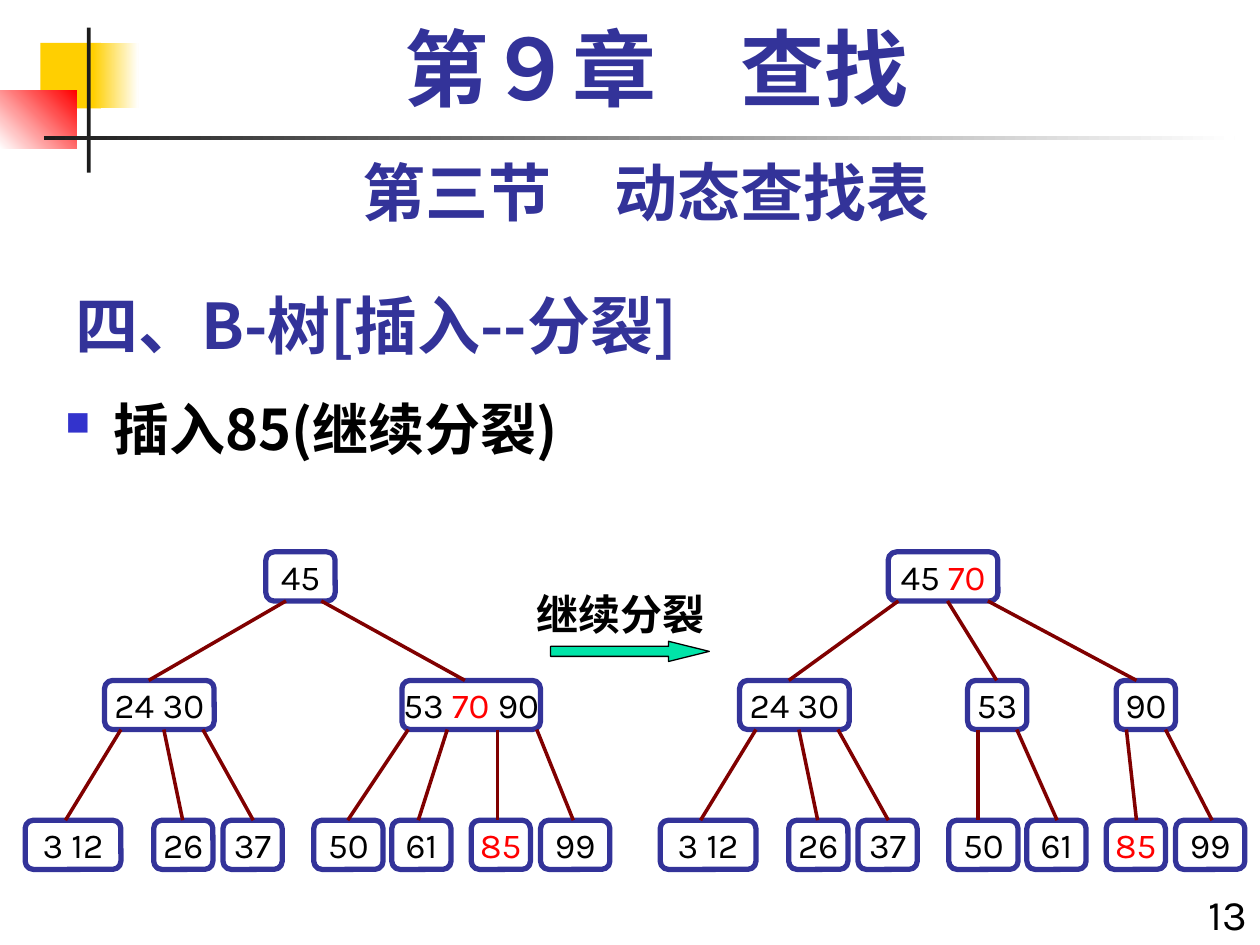
from lxml import etree
from pptx import Presentation
from pptx import util as u
from pptx.dml import color
from pptx.enum import shapes, text
from pptx.oxml import ns

COLORS = {
    "navy": "333399", "bullet": "3333CC", "black": "000000", "red": "FF0000",
    "edge": "800000", "arrow": "00E4A8", "yellow": "FFCF01", "white": "FFFFFF",
    "dark": "1C1C1C",
}
CJK_FONT = "Noto Sans CJK SC"
NUMBER_FONT = "Karla"
NEW_KEYS = {"70", "85"}
LEVEL_TOPS = [4.38, 5.4, 6.51]
NODE_HEIGHT = 0.39
TREE_SHIFT = 5.04
LEAVES = [
    ("3 12", 0.2, 0.76), ("26", 1.22, 0.47), ("37", 1.77, 0.47), ("50", 2.49, 0.55),
    ("61", 3.11, 0.47), ("85", 3.74, 0.47), ("99", 4.29, 0.55),
]
LEFT_TREE = {
    "shift": 0,
    "nodes": [[("45", 2.11, 0.55)], [("24 30", 0.83, 0.87), ("53 70 90", 3.19, 1.1)], LEAVES],
    "edges": [
        [(2.27, 1.18), (2.55, 3.69)],
        [(0.96, 0.52), (1.3, 1.45), (1.61, 2.01), (3.24, 2.76),
         (3.55, 3.32), (3.95, 3.95), (4.26, 4.55)],
    ],
}
RIGHT_TREE = {
    "shift": TREE_SHIFT,
    "nodes": [
        [("45 70", 2.01, 0.87)],
        [("24 30", 0.83, 0.87), ("53", 2.64, 0.47), ("90", 3.82, 0.47)],
        LEAVES,
    ],
    "edges": [
        [(2.09, 1.22), (2.48, 2.87), (2.8, 3.98)],
        [(0.96, 0.52), (1.3, 1.45), (1.61, 2.01), (2.72, 2.72),
         (3.03, 3.35), (3.9, 3.98), (4.21, 4.58)],
    ],
}


def rgb(name):
    return color.RGBColor.from_string(COLORS[name])


def set_font(paragraph, size, name, color_name, bold=False):
    font = paragraph.font
    font.size = u.Pt(size)
    font.name = name
    font.bold = bold
    font.color.rgb = rgb(color_name)
    latin = font._element.find(ns.qn("a:latin"))
    latin.addnext(latin.makeelement(ns.qn("a:ea"), {"typeface": CJK_FONT}))


def add_bullet(paragraph):
    properties = paragraph._p.get_or_add_pPr()
    properties.set("marL", str(u.Inches(0.38)))
    properties.set("indent", str(-u.Inches(0.38)))
    bullet_color = etree.SubElement(properties, ns.qn("a:buClr"))
    etree.SubElement(bullet_color, ns.qn("a:srgbClr"), val=COLORS["bullet"])
    etree.SubElement(properties, ns.qn("a:buSzPct"), val="60000")
    etree.SubElement(properties, ns.qn("a:buChar"), char="■")


def add_text(slide, content, box, size, font_name, color_name="black", bold=True,
             align=text.PP_ALIGN.LEFT, anchor=text.MSO_ANCHOR.TOP, bullet=False,
             line_spacing=None):
    frame = slide.shapes.add_textbox(*map(u.Inches, box)).text_frame
    frame.word_wrap = True
    frame.vertical_anchor = anchor
    paragraph = frame.paragraphs[0]
    paragraph.text = content
    paragraph.alignment = align
    paragraph.line_spacing = line_spacing
    if bullet:
        add_bullet(paragraph)
    set_font(paragraph, size, font_name, color_name, bold)


def add_bar(slide, box, start, end=None, angle=0):
    bar = slide.shapes.add_shape(shapes.MSO_SHAPE.RECTANGLE, *map(u.Inches, box))
    bar.shadow.inherit = False
    bar.line.fill.background()
    if end is None:
        bar.fill.solid()
        bar.fill.fore_color.rgb = rgb(start)
        return
    bar.fill.gradient()
    bar.fill.gradient_angle = angle
    for stop, position, name in zip(bar.fill.gradient_stops, (0, 1), (start, end)):
        stop.position = position
        stop.color.rgb = rgb(name)


def add_arrow(slide, box):
    arrow = slide.shapes.add_shape(shapes.MSO_SHAPE.RIGHT_ARROW, *map(u.Inches, box))
    arrow.adjustments[0] = 0.5
    arrow.adjustments[1] = 2.02
    arrow.shadow.inherit = False
    arrow.fill.solid()
    arrow.fill.fore_color.rgb = rgb("arrow")
    arrow.line.color.rgb = rgb("black")
    arrow.line.width = u.Pt(0.75)


def add_node(group, keys, left, top, width):
    node = group.shapes.add_shape(
        shapes.MSO_SHAPE.ROUNDED_RECTANGLE,
        *map(u.Inches, (left, top, width, NODE_HEIGHT)))
    node.shadow.inherit = False
    node.fill.background()
    node.line.color.rgb = rgb("navy")
    node.line.width = u.Pt(3)
    frame = node.text_frame
    frame.word_wrap = False
    frame.vertical_anchor = text.MSO_ANCHOR.MIDDLE
    paragraph = frame.paragraphs[0]
    paragraph.alignment = text.PP_ALIGN.CENTER
    set_font(paragraph, 20, NUMBER_FONT, "black")
    for index, key in enumerate(keys.split()):
        run = paragraph.add_run()
        run.text = f" {key}" if index else key
        if key in NEW_KEYS:
            run.font.color.rgb = rgb("red")


def add_edge(group, start_x, start_y, end_x, end_y):
    edge = group.shapes.add_connector(
        shapes.MSO_CONNECTOR.STRAIGHT, *map(u.Inches, (start_x, start_y, end_x, end_y)))
    edge.line.color.rgb = rgb("edge")
    edge.line.width = u.Pt(2)
    etree.SubElement(edge._element.spPr, ns.qn("a:effectLst"))


def add_tree(slide, tree):
    group = slide.shapes.add_group_shape()
    shift = tree["shift"]
    for top, nodes in zip(LEVEL_TOPS, tree["nodes"]):
        for keys, left, width in nodes:
            add_node(group, keys, left + shift, top, width)
    for top, next_top, edges in zip(LEVEL_TOPS, LEVEL_TOPS[1:], tree["edges"]):
        for start, end in edges:
            add_edge(group, start + shift, top + NODE_HEIGHT, end + shift, next_top)


def add_decoration(slide):
    add_bar(slide, (0.32, 0.34, 0.48, 0.52), "yellow")
    add_bar(slide, (0.74, 0.34, 0.36, 0.52), "yellow", "white")
    add_bar(slide, (0, 0.72, 0.61, 0.46), "white", "red", 45)
    add_bar(slide, (0.69, 0.22, 0.03, 1.15), "dark")
    add_bar(slide, (0.35, 1.08, 9.45, 0.03), "dark", "white")


def main():
    presentation = Presentation()
    presentation.slide_width = u.Inches(10)
    presentation.slide_height = u.Inches(7.5)
    slide = presentation.slides.add_slide(presentation.slide_layouts[6])
    center = text.PP_ALIGN.CENTER
    add_decoration(slide)
    add_text(slide, "四、B-树[插入--分裂]", (0.5, 2.17, 6.83, 0.75), 36, CJK_FONT, "navy",
             anchor=text.MSO_ANCHOR.BOTTOM)
    add_text(slide, "13", (9.33, 7, 0.67, 0.59), 24, NUMBER_FONT, bold=False,
             align=text.PP_ALIGN.RIGHT)
    add_text(slide, "第三节　动态查找表", (0.5, 1.17, 9.25, 0.7), 36, NUMBER_FONT, "navy",
             align=center)
    add_text(slide, "第９章　查找", (0.67, 0.17, 9.08, 0.83), 48, "Times New Roman", "navy",
             align=center, line_spacing=0.9)
    add_text(slide, "插入85(继续分裂)", (0.42, 3.08, 9.58, 4.42), 32, CJK_FONT, bullet=True)
    add_arrow(slide, (4.37, 5.09, 1.26, 0.16))
    add_text(slide, "继续分裂", (4.06, 4.62, 1.73, 0.5), 24, NUMBER_FONT, align=center)
    add_tree(slide, RIGHT_TREE)
    add_tree(slide, LEFT_TREE)
    presentation.save("out.pptx")


if __name__ == "__main__":
    main()
